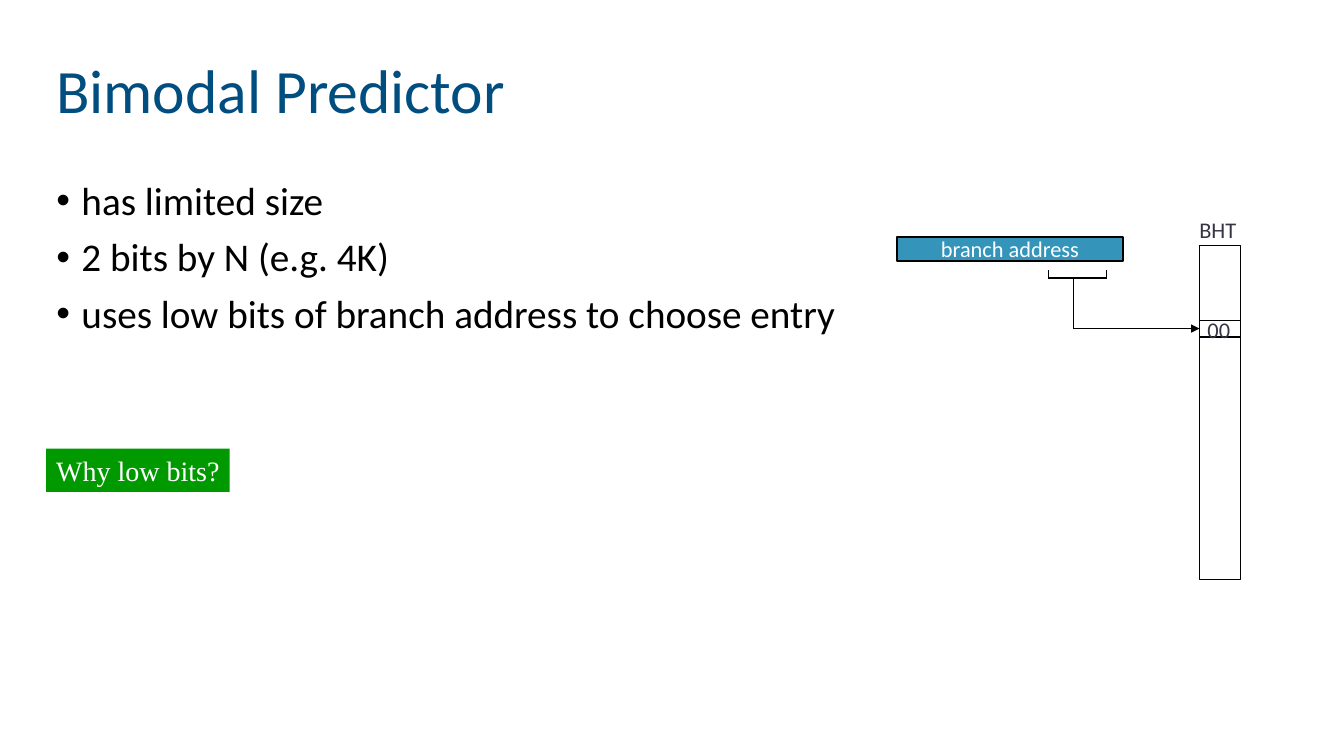
from lxml import etree
from pptx import Presentation
from pptx.dml.color import RGBColor
from pptx.enum import shapes, text
from pptx.oxml import ns
from pptx.util import Pt

BLACK, WHITE, BLUE, GREEN = "000000", "FFFFFF", "3494BA", "009900"
TITLE_BLUE, LABEL_GREY = "004D80", "373545"


def color(hex_string):
    return RGBColor.from_string(hex_string)


def add_run(paragraph, words, size, hex_string, font="Calibri"):
    run = paragraph.add_run()
    run.text = words
    run.font.size = Pt(size)
    run.font.name = font
    run.font.color.rgb = color(hex_string)


def place(shape, left, top, width, height):
    shape.left, shape.top = Pt(left), Pt(top)
    shape.width, shape.height = Pt(width), Pt(height)


def fill_title(title, words):
    place(title, 33, 14.4, 909.4, 104.4)
    frame = title.text_frame
    frame.auto_size = text.MSO_AUTO_SIZE.NONE
    frame.vertical_anchor = text.MSO_ANCHOR.MIDDLE
    paragraph = frame.paragraphs[0]
    paragraph.alignment = text.PP_ALIGN.LEFT
    paragraph.line_spacing = 0.9
    add_run(paragraph, words, 44, TITLE_BLUE)


def fill_bullets(body, items):
    place(body, 33, 126, 909.4, 360.7)
    frame = body.text_frame
    frame.auto_size = text.MSO_AUTO_SIZE.NONE
    for index, item in enumerate(items):
        paragraph = frame.add_paragraph() if index else frame.paragraphs[0]
        paragraph.line_spacing = 0.9
        paragraph.space_before = Pt(10)
        properties = paragraph._p.get_or_add_pPr()
        properties.set("marL", str(Pt(18)))
        properties.set("indent", str(Pt(-18)))
        bullet = etree.SubElement(properties, ns.qn("a:buChar"))
        bullet.set("char", "•")
        add_run(paragraph, item, 28, BLACK)


def add_box(slide, left, top, width, height, fill=None, line=None):
    box = slide.shapes.add_shape(
        shapes.MSO_SHAPE.RECTANGLE, Pt(left), Pt(top), Pt(width), Pt(height))
    box.shadow.inherit = False
    if fill:
        box.fill.solid()
        box.fill.fore_color.rgb = color(fill)
    else:
        box.fill.background()
    if line:
        box.line.color.rgb = color(line)
        box.line.width = Pt(1)
    else:
        box.line.fill.background()
    return box


def write_in_box(box, words, size, hex_string, alignment, font="Calibri"):
    frame = box.text_frame
    frame.word_wrap = False
    frame.vertical_anchor = text.MSO_ANCHOR.MIDDLE
    frame.paragraphs[0].alignment = alignment
    add_run(frame.paragraphs[0], words, size, hex_string, font)


def add_label(slide, left, top, width, height, words):
    label = slide.shapes.add_textbox(Pt(left), Pt(top), Pt(width), Pt(height))
    label.text_frame.word_wrap = False
    add_run(label.text_frame.paragraphs[0], words, 16, LABEL_GREY)


def add_line(slide, start, end, arrow=False):
    line = slide.shapes.add_connector(
        shapes.MSO_CONNECTOR.STRAIGHT, *map(Pt, start + end))
    line.line.color.rgb = color(BLACK)
    line.line.width = Pt(1)
    if arrow:
        head = etree.SubElement(line.line._get_or_add_ln(), ns.qn("a:tailEnd"))
        head.set("type", "triangle")
    etree.SubElement(line._element.spPr, ns.qn("a:effectLst"))


def add_polyline(slide, points):
    for start, end in zip(points, points[1:]):
        add_line(slide, start, end)


def draw_history_table(slide):
    """Branch address whose low bits point at one entry of the BHT."""
    address = add_box(slide, 640.8, 169.2, 161.3, 17.3, BLUE, BLACK)
    write_in_box(address, "branch address", 16, WHITE, text.PP_ALIGN.CENTER)

    bracket_left, bracket_right, bracket_top, bracket_bottom = 748.8, 790.6, 193, 198.7
    add_polyline(slide, [(bracket_left, bracket_top), (bracket_left, bracket_bottom),
                         (bracket_right, bracket_bottom), (bracket_right, bracket_top)])

    table_left, table_width = 856.8, 29.2
    stem, entry_middle = 766.8, 234.7
    add_line(slide, (stem, bracket_bottom), (stem, entry_middle))
    add_line(slide, (stem, entry_middle), (table_left, entry_middle), arrow=True)

    add_box(slide, table_left, 175.2, table_width, 238.8, line=BLACK)
    for edge in (229, 240.6):
        add_line(slide, (table_left, edge), (table_left + table_width, edge))
    add_label(slide, 855.4, 222.6, 32.4, 26.6, "00")
    add_label(slide, 849.6, 150.6, 42.5, 26.6, "BHT")


def main():
    presentation = Presentation()
    presentation.slide_width, presentation.slide_height = Pt(960), Pt(540)
    slide = presentation.slides.add_slide(presentation.slide_layouts[1])
    fill_title(slide.shapes.title, "Bimodal Predictor")
    fill_bullets(slide.placeholders[1], [
        "has limited size",
        "2 bits by N (e.g. 4K)",
        "uses low bits of branch address to choose entry",
    ])
    draw_history_table(slide)
    question = add_box(slide, 33, 320.4, 131, 31, GREEN)
    write_in_box(question, "Why low bits?", 20, WHITE, text.PP_ALIGN.LEFT,
                 "Times New Roman")
    presentation.save("out.pptx")


if __name__ == "__main__":
    main()
